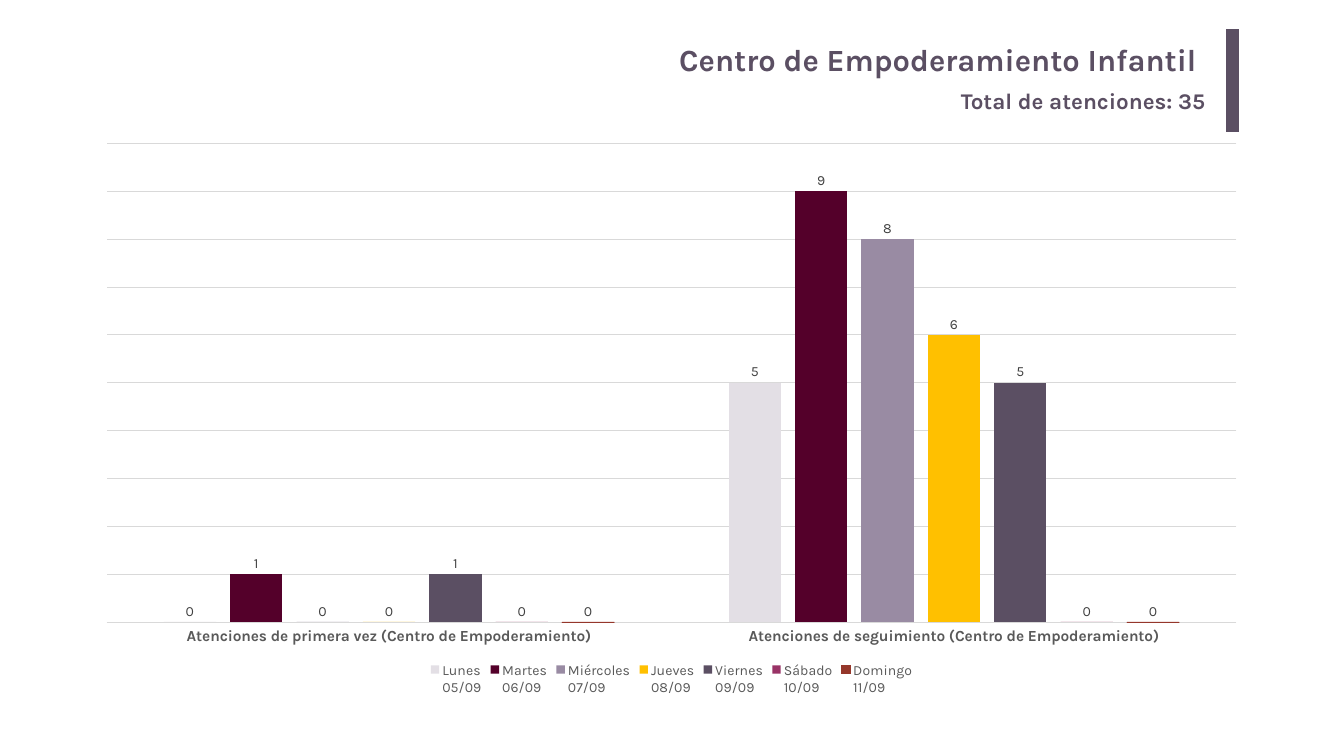
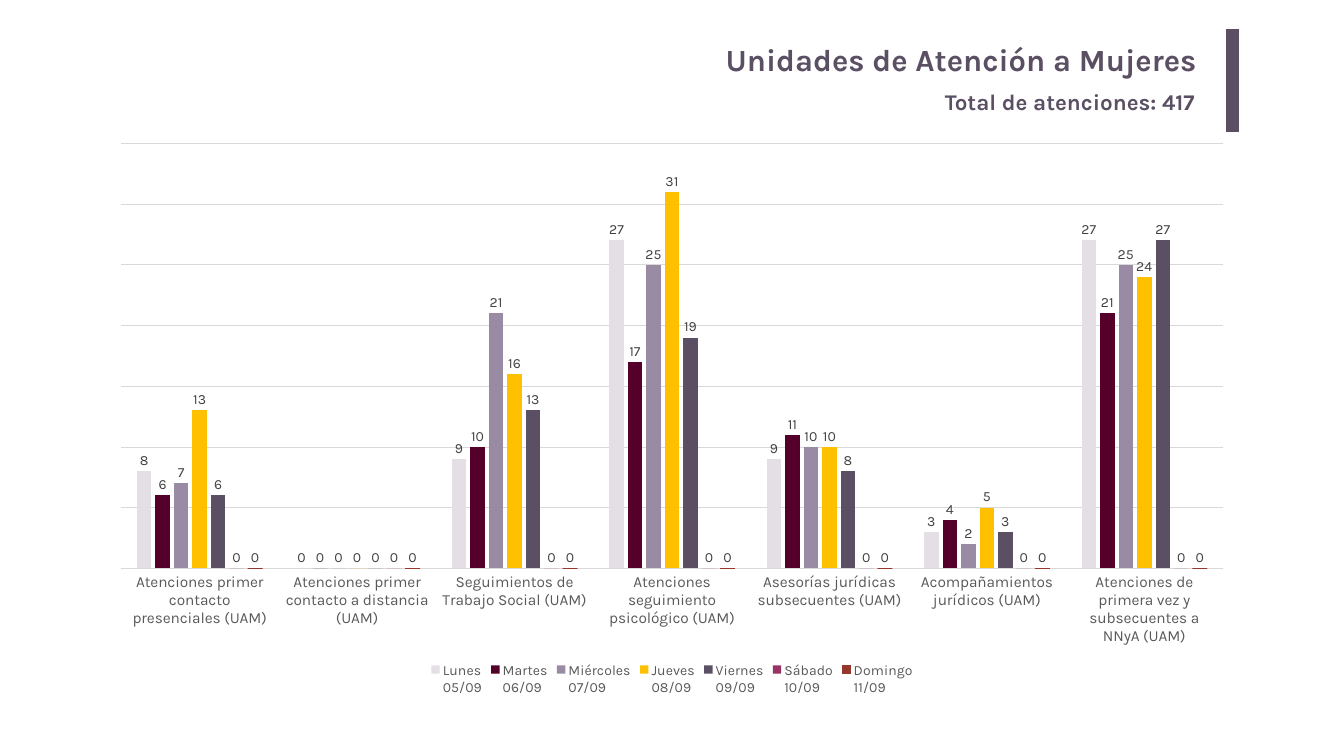
from pptx import Presentation
from pptx.chart.data import CategoryChartData
from pptx.dml.color import RGBColor
from pptx.enum.chart import (XL_CHART_TYPE, XL_LABEL_POSITION,
                             XL_LEGEND_POSITION, XL_TICK_LABEL_POSITION, XL_TICK_MARK)
from pptx.enum.shapes import MSO_SHAPE
from pptx.enum.text import MSO_ANCHOR, MSO_AUTO_SIZE, PP_ALIGN
from pptx.util import Pt

PX = 914400 / 50.4  # EMU in one pixel
FONT = "Karla"
PURPLE, GRID, GREY, DARK = "5B4F63", "D9D9D9", "595959", "404040"
DAYS = [("Lunes\n05/09", "E3DFE5"), ("Martes\n06/09", "54002A"),
        ("Miércoles\n07/09", "998BA3"), ("Jueves\n08/09", "FFC000"),
        ("Viernes\n09/09", PURPLE), ("Sábado\n10/09", "993366"),
        ("Domingo\n11/09", "95372B")]

# One row of values per category, one value per day
SLIDES = [
    {"title": "Centro de Empoderamiento Infantil",
     "total": "Total de atenciones: 35", "total_box": (956, 85, 255, 32),
     "chart_box": (83, 132, 1177, 567), "axis": (10, 1), "bold": True,
     "rows": {
         "Atenciones de primera vez (Centro de Empoderamiento)": (0, 1, 0, 0, 1, 0, 0),
         "Atenciones de seguimiento (Centro de Empoderamiento)": (5, 9, 8, 6, 5, 0, 0)}},
    {"title": "Unidades de Atención a Mujeres",
     "total": "Total de atenciones: 417", "total_box": (940, 86, 268, 32),
     "chart_box": (98, 132, 1148, 567), "axis": (35, 5), "bold": False,
     "rows": {
         "Atenciones primer contacto presenciales (UAM)": (8, 6, 7, 13, 6, 0, 0),
         "Atenciones primer contacto a distancia (UAM)": (0, 0, 0, 0, 0, 0, 0),
         "Seguimientos de Trabajo Social (UAM)": (9, 10, 21, 16, 13, 0, 0),
         "Atenciones seguimiento psicológico (UAM)": (27, 17, 25, 31, 19, 0, 0),
         "Asesorías jurídicas subsecuentes (UAM)": (9, 11, 10, 10, 8, 0, 0),
         "Acompañamientos jurídicos (UAM)": (3, 4, 2, 5, 3, 0, 0),
         "Atenciones de primera vez y subsecuentes a NNyA (UAM)": (27, 21, 25, 24, 27, 0, 0)}},
]


def box(*lengths):
    """Turn pixel lengths into EMU."""
    return [round(length * PX) for length in lengths]


def style(font, size, color, bold=False):
    """Set typeface, size, hex colour and weight of a font."""
    font.name, font.size, font.bold = FONT, Pt(size), bold
    font.color.rgb = RGBColor.from_string(color)


prs = Presentation()
prs.slide_width, prs.slide_height = box(1344, 756)

for spec in SLIDES:
    slide = prs.slides.add_slide(prs.slide_layouts[5])

    # Title
    title = slide.shapes.title
    title.left, title.top, title.width, title.height = box(184, 34, 1023, 51)
    frame = title.text_frame
    frame.text = spec["title"]
    frame.word_wrap, frame.auto_size = True, MSO_AUTO_SIZE.NONE
    frame.vertical_anchor = MSO_ANCHOR.MIDDLE
    frame.margin_left = frame.margin_right = box(10)[0]
    frame.margin_top = frame.margin_bottom = box(5)[0]
    frame.paragraphs[0].alignment = PP_ALIGN.RIGHT
    style(frame.paragraphs[0].runs[0].font, 44, PURPLE, True)

    # Accent bar
    bar = slide.shapes.add_shape(MSO_SHAPE.RECTANGLE, *box(1226, 29, 13, 103))
    bar.shadow.inherit = False
    bar.fill.solid()
    bar.fill.fore_color.rgb = RGBColor.from_string(PURPLE)
    bar.line.fill.background()

    # Total
    frame = slide.shapes.add_textbox(*box(*spec["total_box"])).text_frame
    frame.text = spec["total"]
    frame.word_wrap, frame.auto_size = True, MSO_AUTO_SIZE.SHAPE_TO_FIT_TEXT
    style(frame.paragraphs[0].runs[0].font, 32, PURPLE, True)

    # Chart
    data = CategoryChartData()
    data.categories = list(spec["rows"])
    for (day, _), values in zip(DAYS, zip(*spec["rows"].values())):
        data.add_series(day, values)
    chart = slide.shapes.add_chart(
        XL_CHART_TYPE.COLUMN_CLUSTERED, *box(*spec["chart_box"]), data).chart
    style(chart.font, 10, "000000")
    chart.has_title = False
    chart.has_legend = True
    chart.legend.position = XL_LEGEND_POSITION.BOTTOM
    chart.legend.include_in_layout = False
    style(chart.legend.font, 20, GREY)

    category_axis, value_axis = chart.category_axis, chart.value_axis
    category_axis.major_tick_mark = XL_TICK_MARK.NONE
    category_axis.tick_label_position = XL_TICK_LABEL_POSITION.LOW
    style(category_axis.tick_labels.font, 22, GREY, spec["bold"])
    value_axis.visible = False
    value_axis.minimum_scale = 0
    value_axis.maximum_scale, value_axis.major_unit = spec["axis"]
    value_axis.has_major_gridlines = True
    for line in (category_axis.format.line, value_axis.major_gridlines.format.line):
        line.color.rgb = RGBColor.from_string(GRID)
        line.width = Pt(0.75)

    plot = chart.plots[0]
    plot.gap_width, plot.overlap = 219, -27
    plot.vary_by_categories = False
    for series, (_, color) in zip(plot.series, DAYS):
        series.format.fill.solid()
        series.format.fill.fore_color.rgb = RGBColor.from_string(color)
        series.format.line.fill.background()
        labels = series.data_labels
        labels.show_value = True
        labels.position = XL_LABEL_POSITION.OUTSIDE_END
        style(labels.font, 20, DARK)
    sunday_line = plot.series[-1].format.line
    sunday_line.color.rgb = RGBColor.from_string(DAYS[-1][1])
    sunday_line.width = Pt(0.75)

prs.save("out.pptx")
